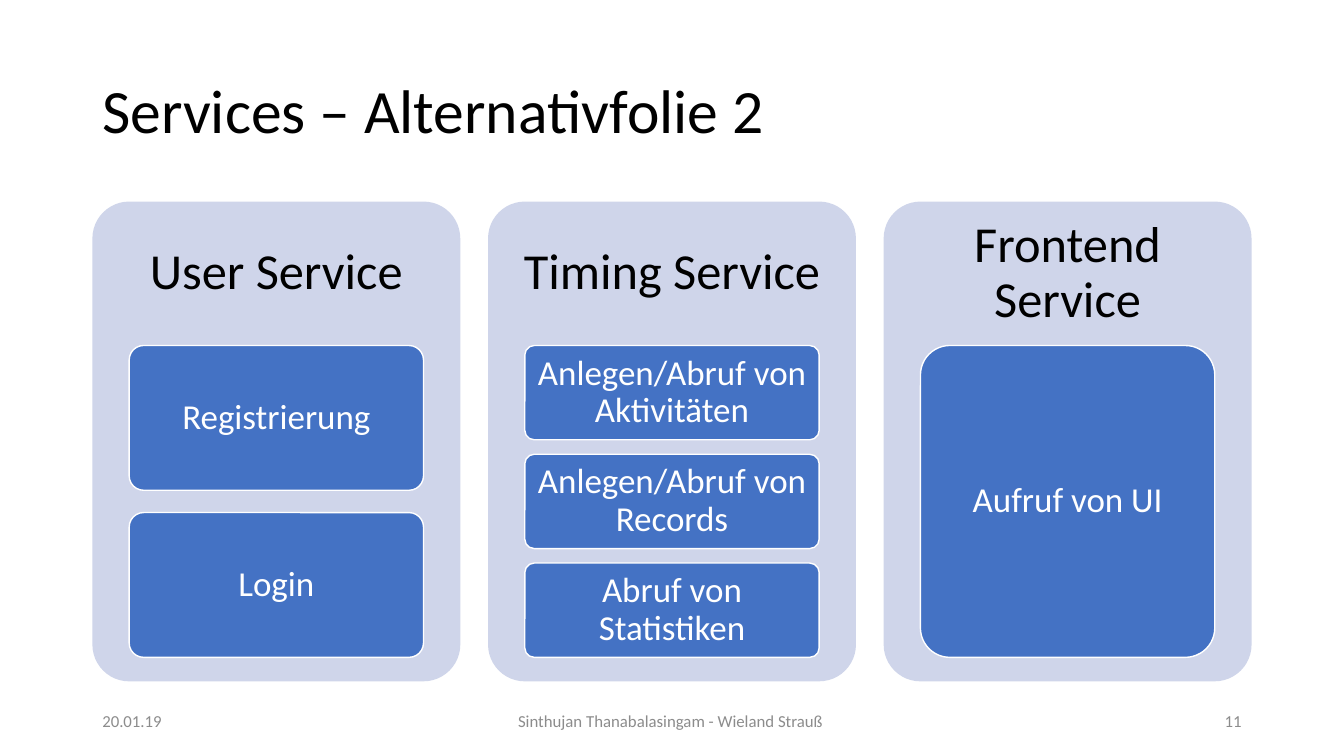
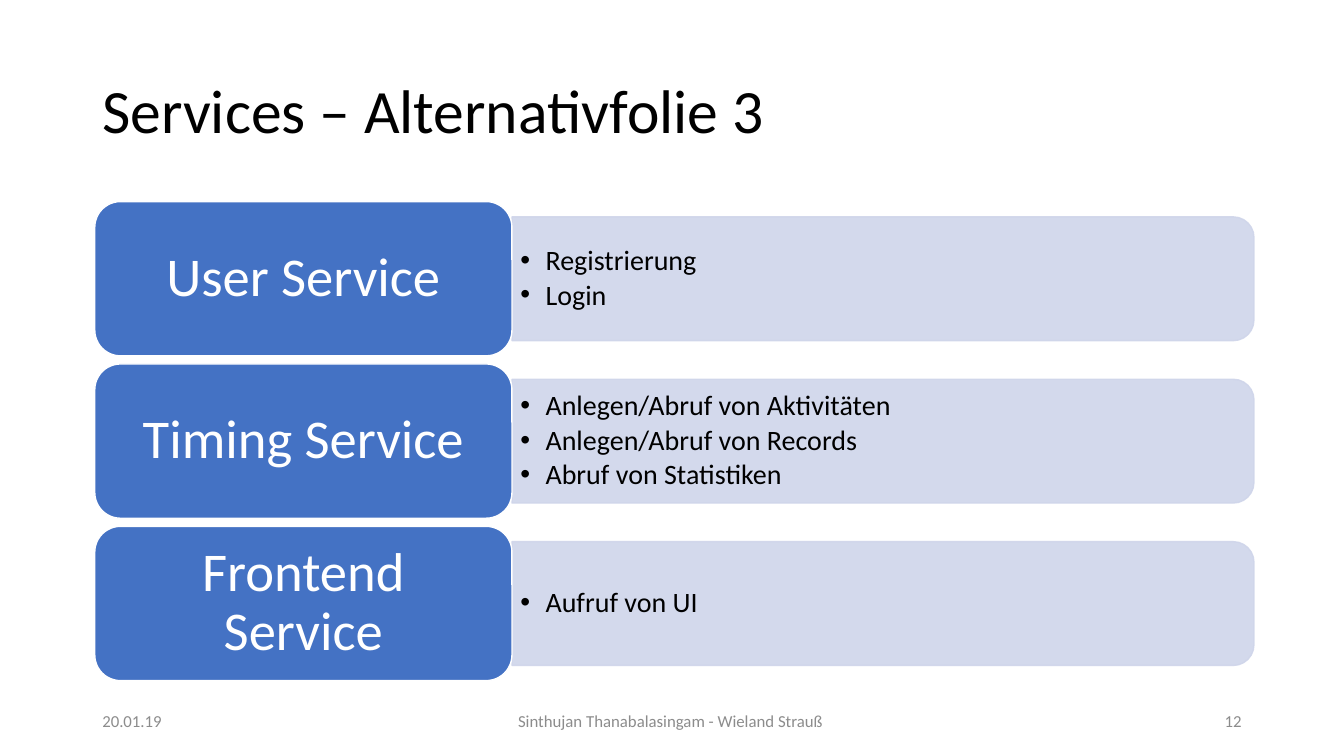
from dataclasses import dataclass

from lxml import etree
from pptx import Presentation
from pptx.dml.color import RGBColor
from pptx.enum.shapes import MSO_SHAPE
from pptx.enum.text import MSO_ANCHOR, PP_ALIGN
from pptx.oxml.ns import qn
from pptx.util import Pt

LEFT, CENTER, RIGHT = PP_ALIGN.LEFT, PP_ALIGN.CENTER, PP_ALIGN.RIGHT
MIDDLE = MSO_ANCHOR.MIDDLE
ROUNDED = MSO_SHAPE.ROUNDED_RECTANGLE
ROUNDED_TOP = MSO_SHAPE.ROUND_2_SAME_RECTANGLE

FONT = "Calibri"
BLUE, PALE, GREY = "4472C4", "CFD5EA", "8C8C8C"
BLACK, WHITE = "000000", "FFFFFF"

MARGIN, CONTENT_W, TOP = 66, 828, 144


@dataclass(frozen=True)
class Service:
    name: str
    tasks: tuple[str, ...]


@dataclass(frozen=True)
class FooterPart:
    text: str
    left: float
    width: float
    align: PP_ALIGN


SERVICES = (
    Service("User Service", ("Registrierung", "Login")),
    Service("Timing Service", ("Anlegen/Abruf von Aktivitäten",
                               "Anlegen/Abruf von Records",
                               "Abruf von Statistiken")),
    Service("Frontend Service", ("Aufruf von UI",)),
)


def rgb(color: str) -> RGBColor:
    return RGBColor.from_string(color)


def set_text(sp, *lines: str, size: float, color: str = BLACK, align=LEFT,
             inset=(7.2, 3.6), spacing: float = 0.9, after: float = 0,
             bullet: bool = False) -> None:
    """Fill a shape or text box with one paragraph per line."""
    tf = sp.text_frame
    tf.word_wrap = True
    tf.vertical_anchor = MIDDLE
    tf.margin_left = tf.margin_right = Pt(inset[0])
    tf.margin_top = tf.margin_bottom = Pt(inset[1])
    for i, line in enumerate(lines):
        p = tf.paragraphs[0] if i == 0 else tf.add_paragraph()
        p.alignment = align
        p.line_spacing = spacing
        p.space_after = Pt(after)
        if bullet:
            ppr = p._p.get_or_add_pPr()
            ppr.set("marL", str(Pt(18)))
            ppr.set("indent", str(Pt(-18)))
            etree.SubElement(ppr, qn("a:buFont")).set("typeface", "Arial")
            etree.SubElement(ppr, qn("a:buChar")).set("char", "•")
        r = p.add_run()
        r.text = line
        r.font.name, r.font.size = FONT, Pt(size)
        r.font.color.rgb = rgb(color)


def add_text(s, box, *lines: str, **fmt) -> None:
    set_text(s.shapes.add_textbox(*map(Pt, box)), *lines, **fmt)


def add_box(s, kind, box, fill: str, line: str | None = None,
            corner: float | None = None, opacity: int = 100):
    sp = s.shapes.add_shape(kind, *map(Pt, box))
    sp.shadow.inherit = False
    sp.fill.solid()
    sp.fill.fore_color.rgb = rgb(fill)
    if line:
        sp.line.color.rgb = rgb(line)
        sp.line.width = Pt(1)
    else:
        sp.line.fill.background()
    if corner is not None:
        sp.adjustments[0] = corner
    if opacity < 100:
        for clr in sp._element.spPr.iter(qn("a:srgbClr")):
            etree.SubElement(clr, qn("a:alpha")).set("val", str(opacity * 1000))
    return sp


def new_slide(prs, title: str, number: int):
    """Blank slide with the shared title and footer."""
    s = prs.slides.add_slide(prs.slide_layouts[6])
    add_text(s, (MARGIN, 28.8, CONTENT_W, 104.4), title, size=44)
    footer = (
        FooterPart("20.01.19", MARGIN, 216, LEFT),
        FooterPart("Sinthujan Thanabalasingam - Wieland Strauß", 317, 324, CENTER),
        FooterPart(str(number), 678, 216, RIGHT),
    )
    for part in footer:
        add_text(s, (part.left, 500.4, part.width, 28.8), part.text,
                 size=12, color=GREY, align=part.align, spacing=1.0)
    return s


def add_panels(s) -> None:
    """One column per service, its tasks stacked as cards."""
    panel_w, panel_h = 262.8, 342.7
    step = (CONTENT_W - panel_w) / (len(SERVICES) - 1)
    head_h, stack_h = 0.3 * panel_h, 0.65 * panel_h
    gap_ratio = 2 / 13  # gap between cards relative to card height
    for col, service in enumerate(SERVICES):
        x = MARGIN + col * step
        add_box(s, ROUNDED, (x, TOP, panel_w, panel_h), PALE, corner=0.1)
        add_text(s, (x, TOP, panel_w, head_h), service.name,
                 size=36, align=CENTER, inset=(10.8, 10.8))
        n = len(service.tasks)
        card_h = stack_h / (n + (n - 1) * gap_ratio)
        for row, task in enumerate(service.tasks):
            y = TOP + head_h + row * card_h * (1 + gap_ratio)
            card = add_box(s, ROUNDED, (x + 0.1 * panel_w, y, 0.8 * panel_w, card_h),
                           BLUE, line=WHITE, corner=0.1)
            set_text(card, task, size=25, color=WHITE, align=CENTER,
                     inset=(5, 3.75))


def add_rows(s) -> None:
    """One row per service: a label with a bulleted bar to its right."""
    label_x, label_w, label_h, step = 67.7, 298, 110.2, 116
    bar_x, bar_w, bar_h = label_x + label_w, 530, 88.4
    for row, service in enumerate(SERVICES):
        y = TOP + row * step
        mid_x, mid_y = bar_x + bar_w / 2, y + label_h / 2
        # The bar is upright and turned so that its round corners face right
        bar = add_box(s, ROUNDED_TOP,
                      (mid_x - bar_h / 2, mid_y - bar_w / 2, bar_h, bar_w),
                      PALE, line=PALE, opacity=90)
        bar.rotation = 90
        add_text(s, (bar_x, mid_y - 40, bar_w - 4, 80), *service.tasks,
                 size=20, inset=(6, 3), after=3, bullet=True)
        label = add_box(s, ROUNDED, (label_x, y, label_w, label_h),
                        BLUE, line=WHITE)
        set_text(label, service.name, size=39, color=WHITE, align=CENTER,
                 inset=(11.7, 5.85))


def main() -> None:
    prs = Presentation()
    prs.slide_width, prs.slide_height = Pt(960), Pt(540)
    add_panels(new_slide(prs, "Services – Alternativfolie 2", 11))
    add_rows(new_slide(prs, "Services – Alternativfolie 3", 12))
    prs.save("out.pptx")


if __name__ == "__main__":
    main()
